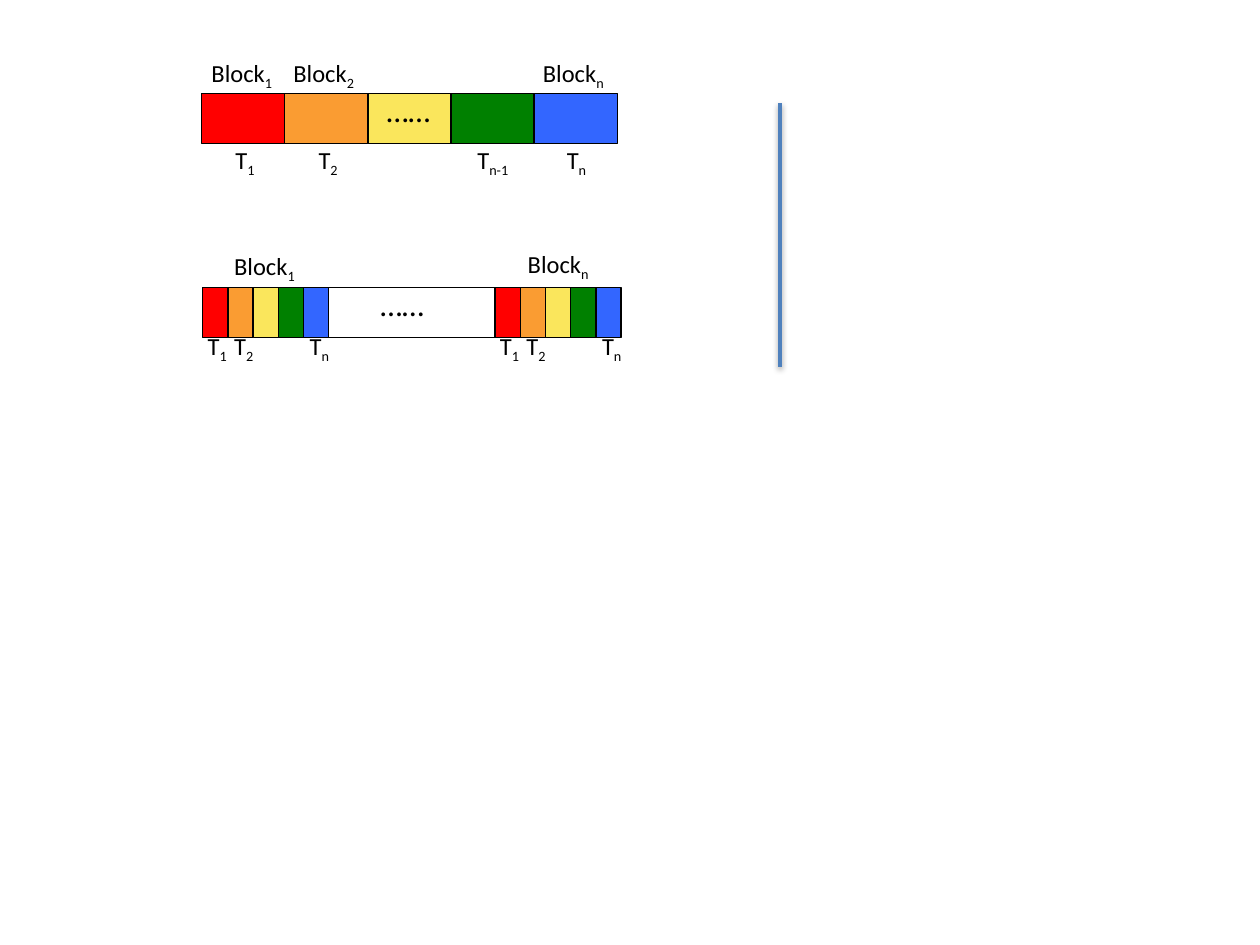
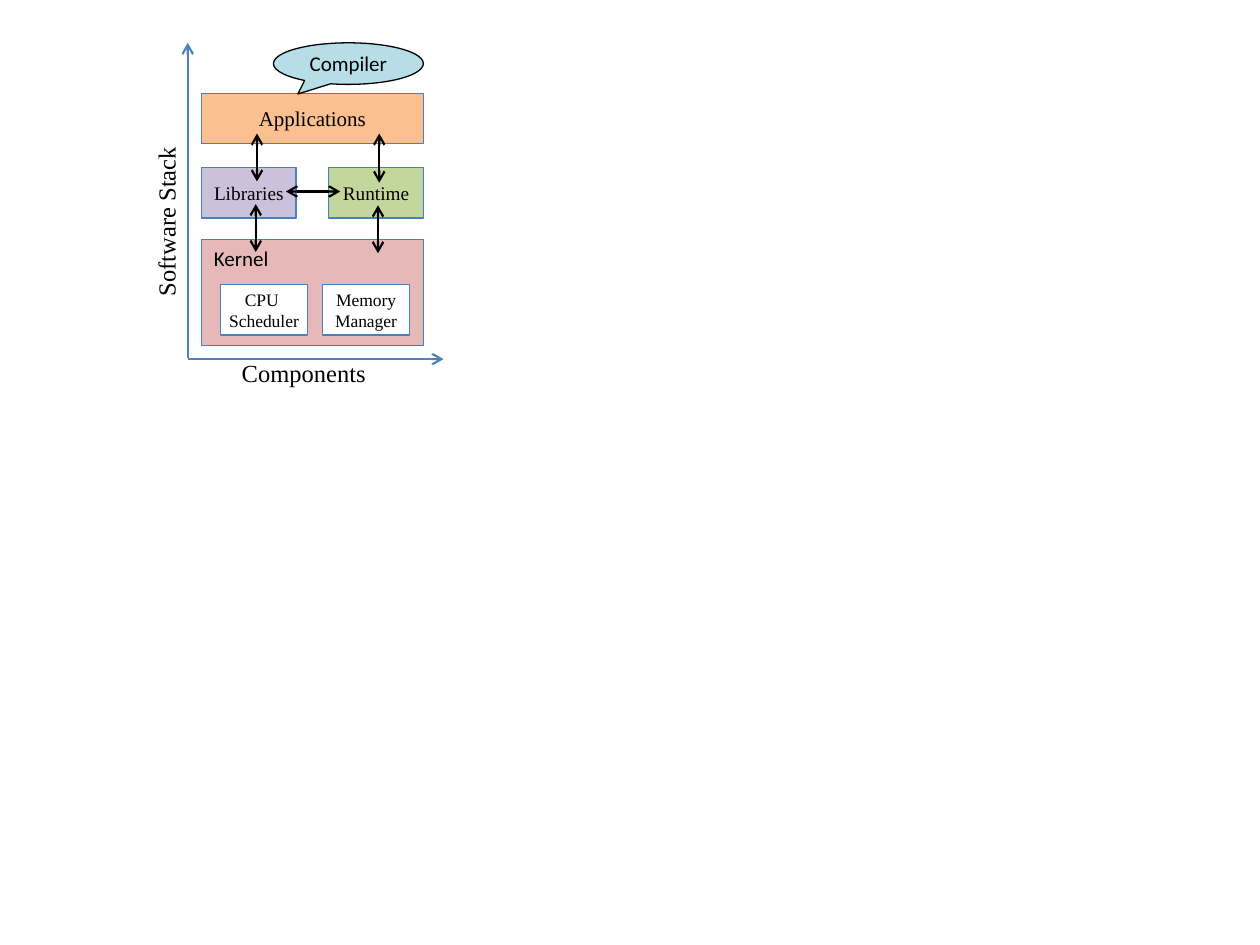
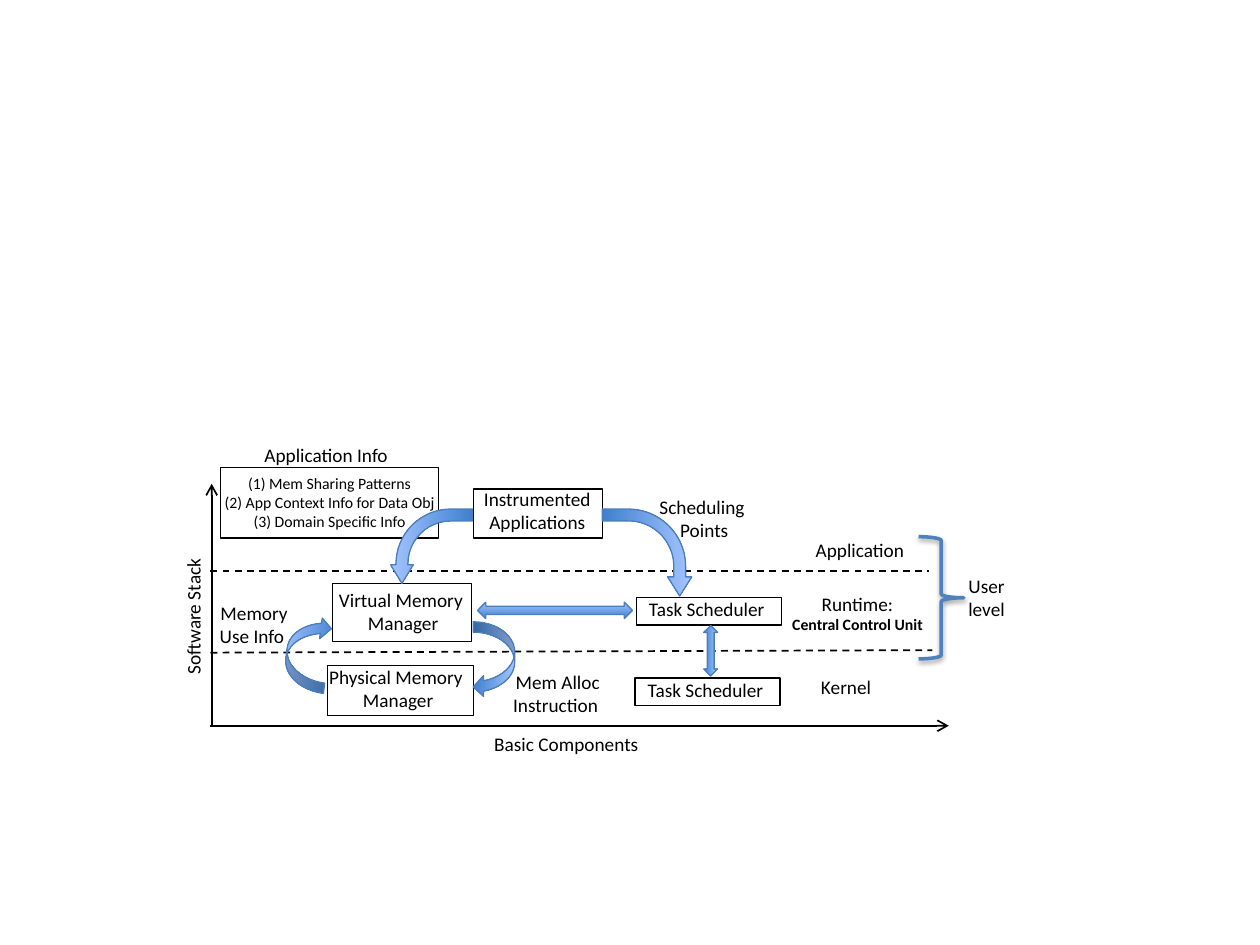
import pptx
import pptx.util
import pptx.dml.color
import pptx.enum.dml
import pptx.enum.shapes
import pptx.enum.text
import pptx.oxml.ns
import lxml.etree

Inches = pptx.util.Inches
Pt = pptx.util.Pt
SHAPE = pptx.enum.shapes.MSO_SHAPE
ALIGN = pptx.enum.text.PP_ALIGN
ANCHOR = pptx.enum.text.MSO_ANCHOR
AUTO_SIZE = pptx.enum.text.MSO_AUTO_SIZE
qn = pptx.oxml.ns.qn

COLORS = {
    "black": "000000", "white": "FFFFFF",
    "red": "FF0000", "orange": "FA9C32", "yellow": "FAE65C",
    "green": "008000", "blue": "3366FF",
    "accent": "4F81BD", "outline": "4B7EBC",
    "gradient start": "3F80CE", "gradient end": "A4C4FF",
    "peach": "FAC090", "rose": "E6B9B8", "lilac": "CCC1DA",
    "lime": "C3D69B", "aqua": "B7DEE8",
}
THREADS = ["red", "orange", "yellow", "green", "blue"]
SANS, SERIF = "Calibri", "Times New Roman"
NARROW = (0, 0.05)    # side and top insets of tight labels
NORMAL = (0.1, 0.05)


def rgb(name):
    return pptx.dml.color.RGBColor.from_string(COLORS[name])


# ---- shared elements ----

def add_effects(shape, shadow=False):
    """Switch off the theme shadow, or replace it by a soft one below."""
    properties = shape._element.spPr
    effects = lxml.etree.SubElement(properties, qn("a:effectLst"))
    if shadow:
        outer = lxml.etree.SubElement(effects, qn("a:outerShdw"), blurRad="40000",
                                      dist="20000", dir="5400000", rotWithShape="0")
        color = lxml.etree.SubElement(outer, qn("a:srgbClr"), val=COLORS["black"])
        lxml.etree.SubElement(color, qn("a:alpha"), val="38000")


def set_text(shape, lines, size, font=SANS, align=ALIGN.CENTER, insets=NORMAL,
             anchor=ANCHOR.TOP, wrap=True, grow=True):
    frame = shape.text_frame
    frame.text = "\n".join(lines)
    frame.word_wrap = wrap
    frame.auto_size = AUTO_SIZE.SHAPE_TO_FIT_TEXT if grow else AUTO_SIZE.NONE
    frame.vertical_anchor = anchor
    frame.margin_left = frame.margin_right = Inches(insets[0])
    frame.margin_top = frame.margin_bottom = Inches(insets[1])
    for paragraph in frame.paragraphs:
        paragraph.alignment = align
        for run in paragraph.runs:
            format_run(run, size, font)


def format_run(run, size, font=SANS):
    run.font.size = Pt(size)
    run.font.name = font
    run.font.color.rgb = rgb("black")


def add_shape(shapes, kind, box, fill=None, line="black", width=0.75,
              adjustments=(), rotation=0, shadow=False):
    shape = shapes.add_shape(kind, *map(Inches, box))
    for index, value in enumerate(adjustments):
        shape.adjustments[index] = value
    shape.rotation = rotation
    if fill == "gradient":
        shape.fill.gradient()
        shape.fill.gradient_angle = 90
        for stop, name in zip(shape.fill.gradient_stops, ("gradient start", "gradient end")):
            stop.color.rgb = rgb(name)
    elif fill:
        shape.fill.solid()
        shape.fill.fore_color.rgb = rgb(fill)
    else:
        shape.fill.background()
    if line:
        shape.line.color.rgb = rgb(line)
        shape.line.width = Pt(width)
    else:
        shape.line.fill.background()
    add_effects(shape, shadow)
    return shape


def add_label(shapes, box, lines, size, **options):
    label = shapes.add_textbox(*map(Inches, box))
    set_text(label, lines, size, **options)
    return label


def add_line(slide, start, end, color="black", width=1.25, heads=(),
             dashed=False, shadow=False):
    connector = slide.shapes.add_connector(
        pptx.enum.shapes.MSO_CONNECTOR.STRAIGHT, *map(Inches, start + end))
    connector.line.color.rgb = rgb(color)
    connector.line.width = Pt(width)
    if dashed:
        connector.line.dash_style = pptx.enum.dml.MSO_LINE.DASH
    outline = connector.line._get_or_add_ln()
    for head in heads:
        lxml.etree.SubElement(outline, qn("a:" + head), type="arrow")
    add_effects(connector, shadow)


# ---- slide 1: memory layouts ----

def add_indexed(slide, left, top, width, base, index):
    """A label with a subscript."""
    label = add_label(slide.shapes, (left, top, width, 0.34), [base], 14,
                      align=ALIGN.LEFT, wrap=False)
    run = label.text_frame.paragraphs[0].add_run()
    run.text = index
    format_run(run, 14)
    run.font._element.set("baseline", "-25000")


def add_strip(slide, left, top, cell_width):
    for index, color in enumerate(THREADS):
        add_shape(slide.shapes, SHAPE.RECTANGLE,
                  (left + index * cell_width, top, cell_width, 0.4), color)


def add_dots(slide, left, top):
    add_label(slide.shapes, (left, top, 0.57, 0.4), ["……"], 18,
              align=ALIGN.LEFT, wrap=False)


def build_layouts(slide):
    # One block per thread
    add_strip(slide, 1.6, 0.74, 0.66)
    add_dots(slide, 2.97, 0.67)
    for left, width, index in [(1.77, 0.36, "1"), (2.43, 0.37, "2"),
                               (3.69, 0.47, "n-1"), (4.4, 0.37, "n")]:
        add_indexed(slide, left, 1.1, width, "T", index)

    # Every block shared by all threads
    for left in (1.61, 3.93):
        add_strip(slide, left, 2.28, 0.2)
        for offset, index in [(-0.06, "1"), (0.15, "2"), (0.75, "n")]:
            add_indexed(slide, left + offset, 2.58, 0.37, "T", index)
    add_shape(slide.shapes, SHAPE.RECTANGLE, (2.61, 2.28, 1.32, 0.4))
    add_line(slide, (6.19, 0.82), (6.19, 2.91), "accent", 2, shadow=True)
    add_dots(slide, 2.92, 2.21)

    # Block names
    for left, top, index in [(1.58, 0.41, "1"), (2.23, 0.41, "2"), (4.21, 0.41, "n"),
                             (1.76, 1.94, "1"), (4.09, 1.93, "n")]:
        add_indexed(slide, left, top, 0.7, "Block", index)


# ---- slide 2: software stack ----

def add_layer(slide, box, fill, lines, size, insets=NORMAL):
    layer = add_shape(slide.shapes, SHAPE.RECTANGLE, box, fill, "outline")
    set_text(layer, lines, size, SERIF, insets=insets, anchor=ANCHOR.MIDDLE, grow=False)


def build_stack(slide):
    # Layers
    add_layer(slide, (1.6, 0.74, 1.76, 0.4), "peach", ["Applications"], 12)
    add_shape(slide.shapes, SHAPE.RECTANGLE, (1.6, 1.9, 1.76, 0.84), "rose", "outline")
    add_label(slide.shapes, (1.6, 1.9, 0.64, 0.3), ["Kernel"], 12,
              align=ALIGN.LEFT, wrap=False)
    add_layer(slide, (1.75, 2.26, 0.69, 0.4), "white", ["CPU ", "Scheduler"], 10, (0, 0))
    add_layer(slide, (2.56, 2.26, 0.69, 0.4), "white", ["Memory", "Manager"], 10, (0, 0))
    add_layer(slide, (1.6, 1.33, 0.75, 0.4), "lilac", ["Libraries"], 11)

    # Axes
    for start, end in [((1.49, 2.84), (1.49, 0.34)), ((1.49, 2.85), (3.52, 2.85))]:
        add_line(slide, start, end, "accent", heads=["tailEnd"])
    add_layer(slide, (2.61, 1.33, 0.75, 0.4), "lime", ["Runtime"], 11)
    # Wide enough to keep the rotated title on one line
    axis_title = add_label(slide.shapes, (0.61, 1.57, 1.42, 0.34), ["Software Stack"], 14,
                           font=SERIF, align=ALIGN.LEFT, wrap=False)
    axis_title.rotation = 270

    # Compiler callout
    callout = add_shape(slide.shapes, SHAPE.OVAL_CALLOUT, (2.17, 0.34, 1.19, 0.33), "aqua",
                        adjustments=(-0.337, 0.732))
    set_text(callout, ["Compiler"], 12, insets=NARROW, anchor=ANCHOR.MIDDLE, grow=False)

    # Links between layers
    for start, end in [((2.27, 1.52), (2.7, 1.52)), ((3.01, 1.06), (3.01, 1.45)),
                       ((3, 1.63), (3, 2.01)), ((2.03, 1.62), (2.03, 2)),
                       ((2.04, 1.06), (2.04, 1.44))]:
        add_line(slide, start, end, heads=["headEnd", "tailEnd"])
    add_label(slide.shapes, (1.82, 2.79, 1.19, 0.34), ["Components"], 14,
              font=SERIF, align=ALIGN.LEFT, wrap=False)


# ---- slide 3: basic components ----

def add_framed(shapes, frame_box, text_box, lines):
    add_shape(shapes, SHAPE.RECTANGLE, frame_box)
    add_label(shapes, text_box, lines, 11, insets=NARROW)


def add_note(slide, box, lines, insets=NARROW, size=11, line=None):
    note = add_shape(slide.shapes, SHAPE.RECTANGLE, box, "white", line)
    set_text(note, lines, size, insets=insets)


def add_block_arrow(slide, kind, box, rotation=0, adjustments=()):
    return add_shape(slide.shapes, kind, box, "gradient", "outline",
                     adjustments=adjustments, rotation=rotation)


def add_scheduler(slide, left, top):
    add_framed(slide.shapes.add_group_shape().shapes, (left, top, 1.15, 0.22),
               (left - 0.01, top - 0.05, 1.14, 0.15), ["Task Scheduler"])


def build_components(slide):
    shapes = slide.shapes
    add_note(slide, (5.21, 3.88, 0.76, 0.47), ["Scheduling ", "Points"])

    # Axes, level borders and level names
    add_line(slide, (1.67, 5.76), (7.53, 5.76), width=1, heads=["tailEnd"])
    add_line(slide, (1.68, 5.76), (1.68, 3.84), width=1, heads=["tailEnd"])
    add_line(slide, (1.67, 5.18), (7.4, 5.16), width=1, dashed=True)
    add_label(shapes, (6.39, 5.31, 0.65, 0.29), ["Kernel"], 11)
    runtime = add_label(shapes, (6.16, 4.65, 1.29, 0.44),
                        ["Runtime:", "Central Control Unit"], 11, insets=NARROW)
    detail = runtime.text_frame.paragraphs[1].runs[0].font
    detail.size, detail.bold = Pt(9), True
    add_line(slide, (1.67, 4.53), (7.37, 4.53), width=1, dashed=True)
    axis_title = add_label(shapes, (0.94, 4.71, 1.19, 0.29), ["Software Stack"], 11,
                           align=ALIGN.LEFT)
    axis_title.rotation = 270

    # Components
    add_framed(shapes, (2.64, 4.63, 1.1, 0.46), (2.6, 4.62, 1.2, 0.25),
               ["Virtual Memory ", "Manager"])
    add_framed(shapes, (3.76, 3.88, 1.02, 0.39), (3.75, 3.82, 1.03, 0.47),
               ["Instrumented", "Applications"])
    add_note(slide, (1.75, 3.71, 1.73, 0.56),
             ["(1) Mem Sharing Patterns", "(2) App Context Info for Data Obj",
              "(3) Domain Specific Info"], size=9, line="black")
    add_framed(shapes.add_group_shape().shapes, (2.6, 5.28, 1.16, 0.4),
               (2.55, 5.23, 1.22, 0.25), ["Physical Memory ", "Manager"])
    add_label(shapes, (3.65, 5.76, 1.69, 0.29), ["Basic Components"], 11)
    add_scheduler(slide, 5.05, 4.74)

    # Flow from the applications
    add_block_arrow(slide, SHAPE.BENT_ARROW, (4.79, 4.03, 0.69, 0.71), 90,
                    (0.136, 0.139, 0.22, 0.659))
    mirrored = add_block_arrow(slide, SHAPE.BENT_ARROW, (3.13, 4.01, 0.59, 0.65), 270,
                               (0.16, 0.152, 0.25, 0.738))
    mirrored._element.spPr.xfrm.set("flipH", "1")
    add_block_arrow(slide, SHAPE.LEFT_RIGHT_ARROW, (3.79, 4.78, 1.23, 0.13))
    add_label(shapes, (6.39, 4.22, 0.87, 0.29), ["Application"], 11, insets=NARROW)

    # Memory loop and user level
    add_note(slide, (1.71, 4.77, 0.58, 0.37), [" Memory ", "Use Info"], (0, 0))
    add_block_arrow(slide, SHAPE.CURVED_DOWN_ARROW, (2.14, 5.02, 0.6, 0.33), 277.1)
    add_shape(shapes, SHAPE.RIGHT_BRACE, (7.29, 4.26, 0.36, 0.97), line="accent",
              width=2, shadow=True)
    add_label(shapes, (7.62, 4.51, 0.42, 0.47), ["User level"], 11, insets=NARROW)
    add_note(slide, (4.03, 5.27, 0.76, 0.47), [" Mem Alloc", "Instruction"])
    add_block_arrow(slide, SHAPE.CURVED_DOWN_ARROW, (3.62, 5.07, 0.6, 0.33), 90)
    add_label(shapes, (2, 3.47, 1.19, 0.29), ["Application Info"], 11,
              align=ALIGN.LEFT, wrap=False)

    # Kernel scheduler
    add_block_arrow(slide, SHAPE.LEFT_RIGHT_ARROW, (5.44, 5.11, 0.4, 0.11), 90)
    add_scheduler(slide, 5.04, 5.38)


def main():
    presentation = pptx.Presentation()
    presentation.slide_width = Inches(10)
    presentation.slide_height = Inches(7.5)
    blank = presentation.slide_layouts[6]
    for build in (build_layouts, build_stack, build_components):
        build(presentation.slides.add_slide(blank))
    presentation.save("out.pptx")


main()
